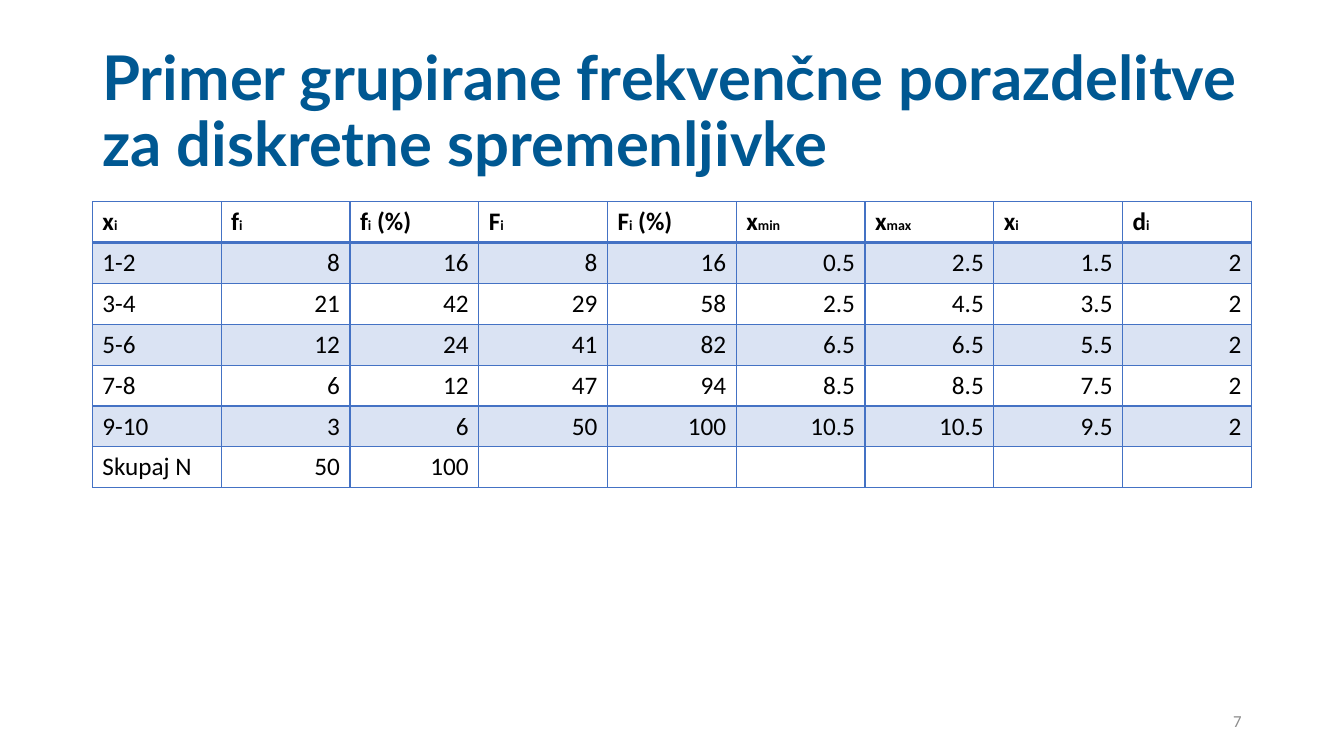
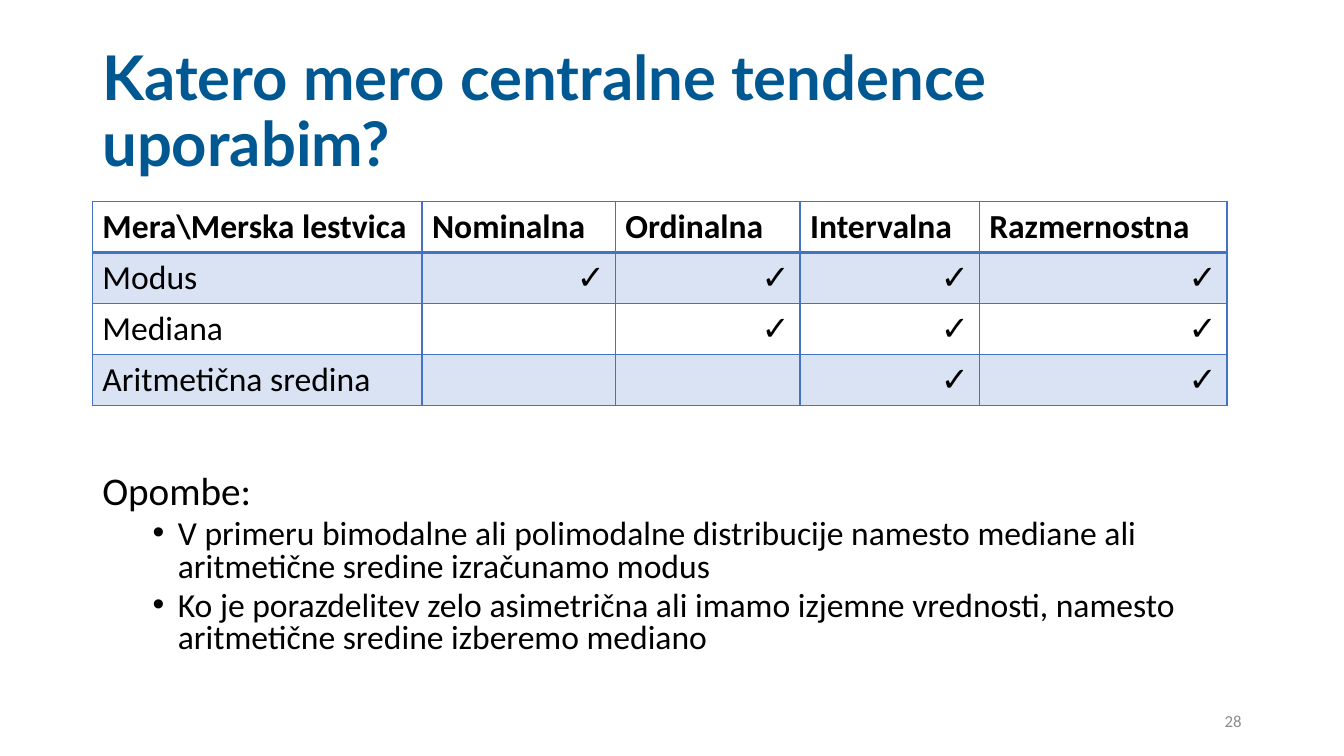
"""Builds two statistics slides: a grouped frequency table and a guide to measures of central tendency."""
from dataclasses import dataclass

from lxml import etree
from pptx import Presentation
from pptx.dml.color import RGBColor
from pptx.enum.text import MSO_ANCHOR, PP_ALIGN
from pptx.oxml.ns import qn
from pptx.slide import Slide
from pptx.table import _Cell
from pptx.text.text import TextFrame, _Paragraph, _Run
from pptx.util import Pt

LEFT, RIGHT = PP_ALIGN.LEFT, PP_ALIGN.RIGHT
TOP, MIDDLE = MSO_ANCHOR.TOP, MSO_ANCHOR.MIDDLE


@dataclass(frozen=True)
class Theme:
    title_font: str = "Lato"
    body_font: str = "Calibri"
    bullet_font: str = "Arial"
    title_color: str = "005892"
    text_color: str = "000000"
    number_color: str = "8C8C8C"
    border_color: str = "4472C4"
    band_color: str = "DAE3F3"
    title_size: float = 44
    number_size: float = 12
    subscript_size: float = 10
    heading_size: float = 28
    bullet_size: float = 24
    border: float = 1
    header_border: float = 2


@dataclass(frozen=True)
class Box:
    left: float
    top: float
    width: float
    height: float


@dataclass(frozen=True)
class TextStyle:
    size: float
    color: str = Theme.text_color
    font: str = Theme.body_font
    bold: bool = False


@dataclass(frozen=True)
class Header:
    base: str
    subscript: str = ""
    suffix: str = ""


@dataclass(frozen=True)
class Grid:
    headers: list[Header]
    rows: list[list[str]]
    widths: list[float]
    row_height: float
    size: float


THEME = Theme()
MARGIN = 66
TABLE_TOP = 144
CONTENT_WIDTH = 828
TITLE_BOX = Box(MARGIN, 28.8, CONTENT_WIDTH, 104.4)
NUMBER_BOX = Box(678, 500.4, 216, 28.8)
NOTES_BOX = Box(MARGIN, 336, CONTENT_WIDTH, 150)
TITLE_STYLE = TextStyle(THEME.title_size, THEME.title_color, THEME.title_font, True)
NUMBER_STYLE = TextStyle(THEME.number_size, THEME.number_color)

FREQUENCIES = Grid(
    headers=[
        Header("x", "i"), Header("f", "i"), Header("f", "i", " (%)"),
        Header("F", "i"), Header("F", "i", " (%)"), Header("x", "min"),
        Header("x", "max"), Header("x", "i"), Header("d", "i"),
    ],
    rows=[
        ["1-2", "8", "16", "8", "16", "0.5", "2.5", "1.5", "2"],
        ["3-4", "21", "42", "29", "58", "2.5", "4.5", "3.5", "2"],
        ["5-6", "12", "24", "41", "82", "6.5", "6.5", "5.5", "2"],
        ["7-8", "6", "12", "47", "94", "8.5", "8.5", "7.5", "2"],
        ["9-10", "3", "6", "50", "100", "10.5", "10.5", "9.5", "2"],
        ["Skupaj N", "50", "100", "", "", "", "", "", ""],
    ],
    widths=[CONTENT_WIDTH / 9] * 9,
    row_height=29.2,
    size=18,
)
MEASURES = Grid(
    headers=[
        Header("Mera\\Merska lestvica"), Header("Nominalna"), Header("Ordinalna"),
        Header("Intervalna"), Header("Razmernostna"),
    ],
    rows=[
        ["Modus", "✓", "✓", "✓", "✓"],
        ["Mediana", "", "✓", "✓", "✓"],
        ["Aritmetična sredina", "", "", "✓", "✓"],
    ],
    widths=[235.5, 138, 132, 128, 177],
    row_height=36.5,
    size=24,
)
NOTES_HEADING = "Opombe:"
NOTES = [
    "V primeru bimodalne ali polimodalne distribucije namesto mediane ali "
    "aritmetične sredine izračunamo modus",
    "Ko je porazdelitev zelo asimetrična ali imamo izjemne vrednosti, namesto "
    "aritmetične sredine izberemo mediano",
]


def format_run(run: _Run, style: TextStyle) -> None:
    run.font.name = style.font
    run.font.size = Pt(style.size)
    run.font.bold = style.bold
    run.font.color.rgb = RGBColor.from_string(style.color)


def write(paragraph: _Paragraph, text: str, style: TextStyle, align: PP_ALIGN = LEFT) -> None:
    paragraph.text = text
    paragraph.alignment = align
    for run in paragraph.runs:
        format_run(run, style)


def add_text_frame(slide: Slide, box: Box, anchor: MSO_ANCHOR) -> TextFrame:
    shape = slide.shapes.add_textbox(Pt(box.left), Pt(box.top), Pt(box.width), Pt(box.height))
    shape.text_frame.word_wrap = True
    shape.text_frame.vertical_anchor = anchor
    return shape.text_frame


def add_base_slide(presentation: Presentation, title: str, number: int) -> Slide:
    slide = presentation.slides.add_slide(presentation.slide_layouts[6])
    title_paragraph = add_text_frame(slide, TITLE_BOX, MIDDLE).paragraphs[0]
    title_paragraph.line_spacing = 0.9
    write(title_paragraph, title, TITLE_STYLE)
    number_paragraph = add_text_frame(slide, NUMBER_BOX, MIDDLE).paragraphs[0]
    write(number_paragraph, str(number), NUMBER_STYLE, RIGHT)
    return slide


def set_borders(cell: _Cell, top: float, bottom: float) -> None:
    properties = cell._tc.get_or_add_tcPr()
    widths = {"a:lnL": THEME.border, "a:lnR": THEME.border, "a:lnT": top, "a:lnB": bottom}
    for tag, width in widths.items():
        line = etree.SubElement(properties, qn(tag), w=str(Pt(width)))
        fill = etree.SubElement(line, qn("a:solidFill"))
        etree.SubElement(fill, qn("a:srgbClr"), val=THEME.border_color)


def write_header(cell: _Cell, header: Header, size: float) -> None:
    paragraph = cell.text_frame.paragraphs[0]
    parts = [
        (header.base, size),
        (header.subscript, THEME.subscript_size),
        (header.suffix, size),
    ]
    for text, part_size in parts:
        if text:
            run = paragraph.add_run()
            run.text = text
            format_run(run, TextStyle(part_size, bold=True))


def add_grid(slide: Slide, grid: Grid) -> None:
    row_count = len(grid.rows) + 1
    table = slide.shapes.add_table(
        row_count, len(grid.widths), Pt(MARGIN), Pt(TABLE_TOP),
        Pt(sum(grid.widths)), Pt(grid.row_height * row_count),
    ).table
    table.first_row = False
    table.horz_banding = False
    for column, width in zip(table.columns, grid.widths):
        column.width = Pt(width)
    for row_index, row in enumerate(table.rows):
        row.height = Pt(grid.row_height)
        top = THEME.header_border if row_index == 1 else THEME.border
        bottom = THEME.header_border if row_index == 0 else THEME.border
        for column_index, cell in enumerate(row.cells):
            set_borders(cell, top, bottom)
            if row_index % 2:
                cell.fill.solid()
                cell.fill.fore_color.rgb = RGBColor.from_string(THEME.band_color)
            else:
                cell.fill.background()
            if row_index == 0:
                write_header(cell, grid.headers[column_index], grid.size)
            else:
                text = grid.rows[row_index - 1][column_index]
                align = RIGHT if column_index else LEFT
                write(cell.text_frame.paragraphs[0], text, TextStyle(grid.size), align)


def add_bullet(paragraph: _Paragraph) -> None:
    properties = paragraph._p.get_or_add_pPr()
    properties.set("marL", str(Pt(54)))
    properties.set("indent", str(Pt(-18)))
    etree.SubElement(properties, qn("a:buFont"), typeface=THEME.bullet_font)
    etree.SubElement(properties, qn("a:buChar"), char="•")


def add_notes(slide: Slide) -> None:
    text_frame = add_text_frame(slide, NOTES_BOX, TOP)
    heading = text_frame.paragraphs[0]
    heading.line_spacing = 0.8
    write(heading, NOTES_HEADING, TextStyle(THEME.heading_size))
    for note in NOTES:
        paragraph = text_frame.add_paragraph()
        paragraph.line_spacing = 0.8
        paragraph.space_before = Pt(5)
        write(paragraph, note, TextStyle(THEME.bullet_size))
        add_bullet(paragraph)


def main() -> None:
    presentation = Presentation()
    presentation.slide_width = Pt(960)
    presentation.slide_height = Pt(540)
    frequency_slide = add_base_slide(
        presentation, "Primer grupirane frekvenčne porazdelitve za diskretne spremenljivke", 7
    )
    add_grid(frequency_slide, FREQUENCIES)
    measure_slide = add_base_slide(presentation, "Katero mero centralne tendence uporabim?", 28)
    add_notes(measure_slide)
    add_grid(measure_slide, MEASURES)
    presentation.save("out.pptx")


if __name__ == "__main__":
    main()
